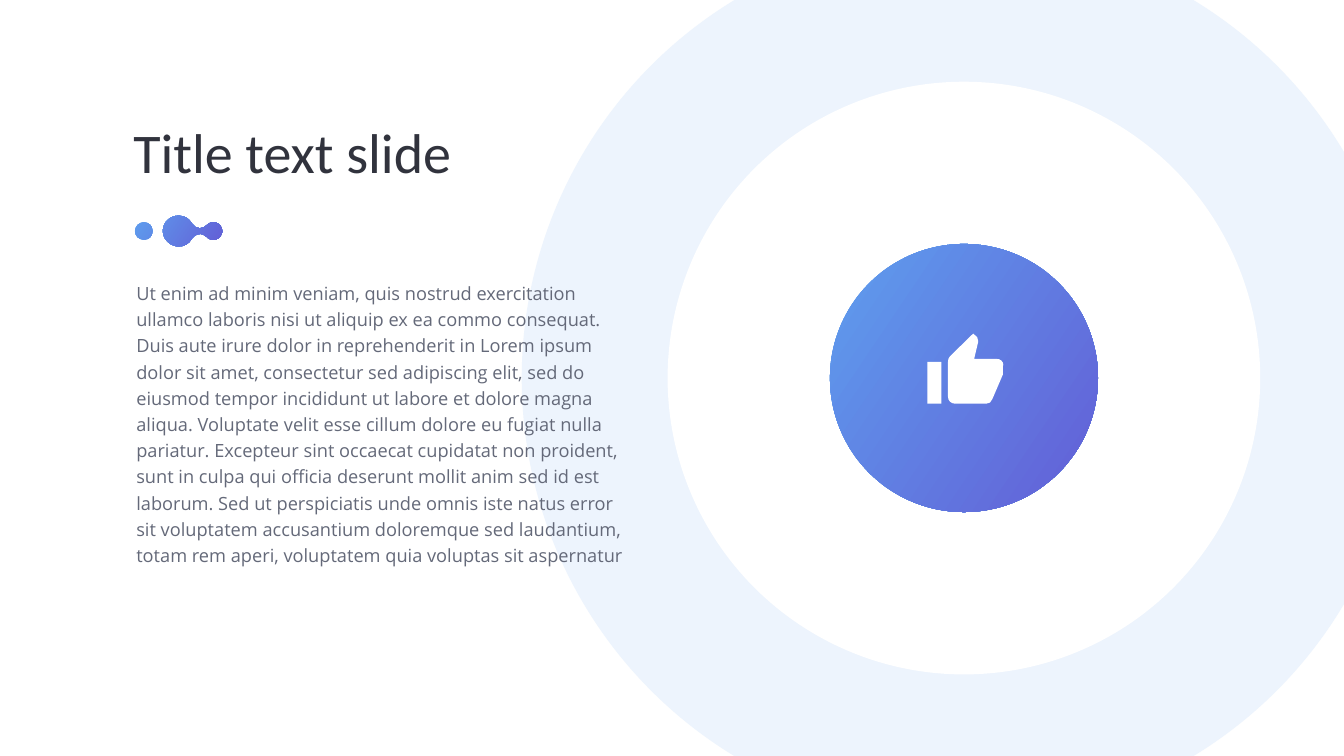
from lxml import etree
from pptx import Presentation
from pptx.dml.color import RGBColor
from pptx.enum import shapes, text
from pptx.oxml.ns import qn
from pptx.util import Pt

COLORS = {
    "ring": "EDF4FD", "white": "FFFFFF", "title": "31333D", "body": "646979",
    "grad_start": "5E9EEE", "grad_end": "635ED6",
}
GRADIENT = ("grad_start", "grad_end")
UNIT = 0.72

BODY = (
    "Ut enim ad minim veniam, quis nostrud exercitation ullamco laboris nisi ut aliquip "
    "ex ea commo consequat. Duis aute irure dolor in reprehenderit in Lorem ipsum dolor "
    "sit amet, consectetur sed adipiscing elit, sed do eiusmod tempor incididunt ut labore "
    "et dolore magna aliqua. Voluptate velit esse cillum dolore eu fugiat nulla pariatur. "
    "Excepteur sint occaecat cupidatat non proident, sunt in culpa qui officia deserunt "
    "mollit anim sed id est laborum. Sed ut perspiciatis unde omnis iste natus error sit "
    "voluptatem accusantium doloremque sed laudantium, totam rem aperi, voluptatem quia "
    "voluptas sit aspernatur"
)

LINKED_DOTS = [
    (87, 0), (70, -1, 55, 13, 55, 30), (55, 47, 69, 60, 85, 61),
    (97, 62, 108, 55, 113, 45), (116, 41, 120, 38, 124, 37),
    (131, 35, 138, 37, 142, 42), (152, 54, 172, 47, 173, 31),
    (173, 14, 152, 7, 142, 19), (138, 23, 133, 25, 128, 25),
    (122, 25, 116, 21, 113, 16), (108, 6, 98, 0, 87, 0),
]
SINGLE_DOT = [
    (17, 13), (13, 13, 9, 15, 5, 18), (-2, 25, -2, 36, 5, 43),
    (12, 49, 23, 49, 30, 43), (36, 36, 36, 25, 30, 18), (26, 15, 22, 13, 17, 13),
]
CUFF = [(0, 139), (28, 139), (28, 56), (0, 56), (0, 139)]
HAND = [
    (151, 63), (151, 55, 145, 50, 137, 50), (93, 50), (101, 16), (101, 15),
    (101, 12, 100, 10, 99, 7), (91, 0), (45, 45), (42, 48, 41, 52, 41, 56),
    (41, 125), (41, 133, 47, 139, 55, 139), (117, 139),
    (122, 139, 128, 136, 129, 130), (150, 81), (150, 80, 150, 79, 150, 76),
    (150, 63), (151, 63),
]


def rgb(name):
    return RGBColor.from_string(COLORS[name])


def paint(s, fill):
    s.shadow.inherit = False
    s.line.fill.background()
    if fill == GRADIENT:
        s.fill.gradient()
        s.fill.gradient_angle = 326
        for stop, name in zip(s.fill.gradient_stops, fill):
            stop.color.rgb = rgb(name)
    else:
        s.fill.solid()
        s.fill.fore_color.rgb = rgb(fill)


def add_circle(slide, cx, cy, diameter, fill):
    s = slide.shapes.add_shape(
        shapes.MSO_SHAPE.OVAL, Pt(cx - diameter / 2), Pt(cy - diameter / 2),
        Pt(diameter), Pt(diameter))
    paint(s, fill)


def add_segment(path, tag, values):
    segment = etree.SubElement(path, qn(tag))
    for x, y in zip(values[::2], values[1::2]):
        etree.SubElement(segment, qn("a:pt"), x=str(x), y=str(y))


def add_outline(slide, left, top, width, height, contours, fill):
    builder = slide.shapes.build_freeform(0, 0, scale=Pt(UNIT))
    builder.add_line_segments([(width, 0), (width, height)])
    s = builder.convert_to_shape(Pt(left), Pt(top))
    outline = s._element.find(".//" + qn("a:path"))
    for segment in list(outline):
        outline.remove(segment)
    for start, *segments in contours:
        add_segment(outline, "a:moveTo", start)
        for values in segments:
            add_segment(outline, "a:lnTo" if len(values) == 2 else "a:cubicBezTo", values)
        etree.SubElement(outline, qn("a:close"))
    paint(s, fill)


def add_text(slide, box, content, font, size, color, anchor, spacing=None):
    tf = slide.shapes.add_textbox(*map(Pt, box)).text_frame
    tf.word_wrap = True
    tf.auto_size = text.MSO_AUTO_SIZE.SHAPE_TO_FIT_TEXT
    tf.vertical_anchor = anchor
    tf.margin_left = tf.margin_right = tf.margin_top = tf.margin_bottom = Pt(4)
    tf.text = content
    p = tf.paragraphs[0]
    if spacing:
        p.line_spacing = spacing
    r = p.runs[0]
    r.font.name = font
    r.font.size = Pt(size)
    r.font.color.rgb = rgb(color)


def add_rings(slide, cx, cy):
    add_circle(slide, cx, cy, 1263.6, "ring")
    add_circle(slide, cx, cy, 846.7, "white")


def add_badge(slide, cx, cy):
    add_circle(slide, cx, cy, 383, GRADIENT)
    add_outline(slide, cx - 52.4, cy - 63.4, 151, 139, [CUFF, HAND], "white")


def add_story(slide, left, top):
    add_text(slide, (left, top, 717.8, 102.2), "Title text slide", "Calibri", 80,
             "title", text.MSO_ANCHOR.MIDDLE)
    add_outline(slide, left + 6.5, top + 143.7, 172, 61,
                [LINKED_DOTS, SINGLE_DOT], GRADIENT)
    add_text(slide, (left + 4.3, top + 228.7, 708.5, 476), BODY, "Open Sans", 26,
             "body", text.MSO_ANCHOR.TOP, 1.2)


def main():
    prs = Presentation()
    prs.slide_width, prs.slide_height = Pt(1920.24), Pt(1080)
    slide = prs.slides.add_slide(prs.slide_layouts[6])
    add_rings(slide, 1377.2, 540.1)
    add_story(slide, 186.5, 164.4)
    add_badge(slide, 1377.3, 540)
    prs.save("out.pptx")


if __name__ == "__main__":
    main()
